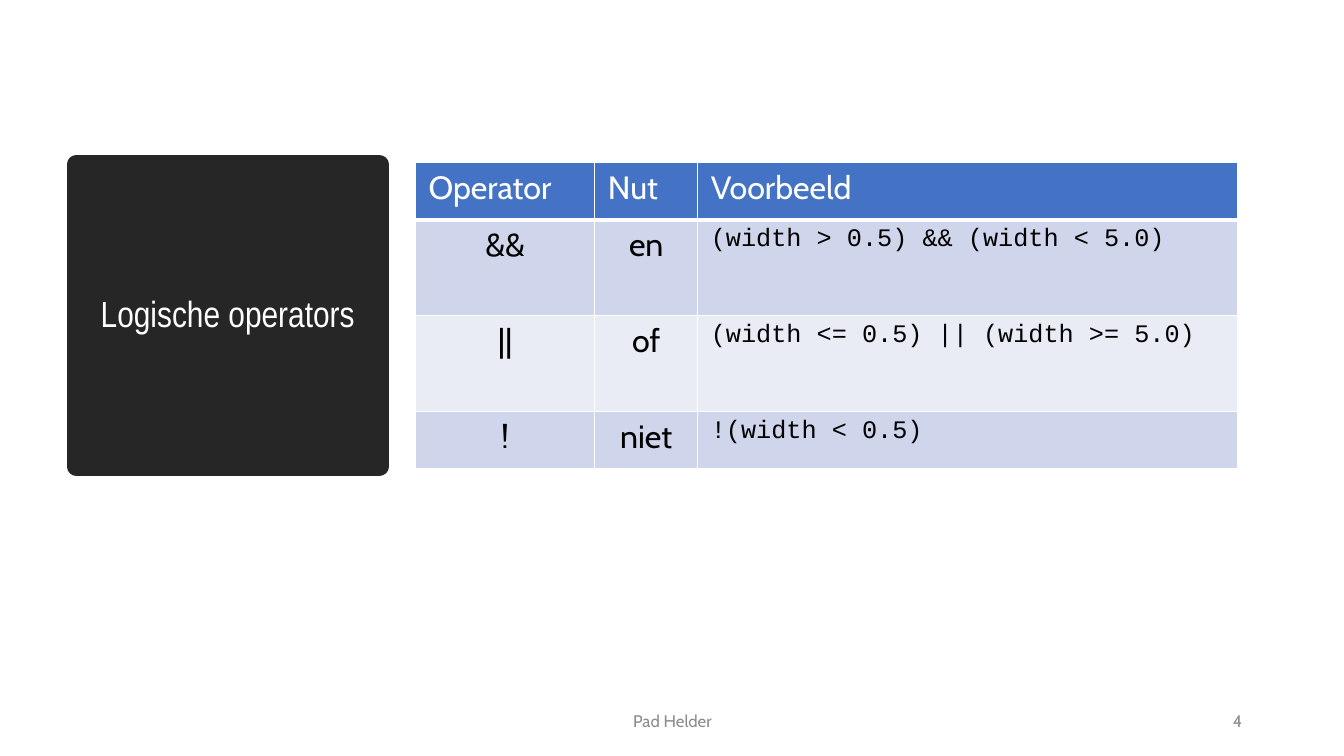
from dataclasses import dataclass

from lxml import etree
from pptx import Presentation
from pptx import util as u
from pptx.dml.color import RGBColor
from pptx.enum import text
from pptx.oxml import ns

PX = 9144  # EMU per px, 100 px to the inch
WHITE, BLACK, DARK, GREY = "FFFFFF", "000000", "262626", "8C8C8C"
HEADER, BAND, PALE = "4472C4", "CFD5EA", "E9EBF5"
LEFT, CENTER, RIGHT = text.PP_ALIGN.LEFT, text.PP_ALIGN.CENTER, text.PP_ALIGN.RIGHT


@dataclass(frozen=True)
class Style:
    font: str
    size: int
    color: str
    align: text.PP_ALIGN


@dataclass(frozen=True)
class Footer:
    words: str
    left: int
    width: int
    align: text.PP_ALIGN


@dataclass(frozen=True)
class Row:
    words: tuple[str, str, str]
    height: int
    fill: str


HEADING = Style("Cabin", 23, WHITE, LEFT)
WORD = Style("Cabin", 23, BLACK, CENTER)
CODE = Style("Courier New", 18, BLACK, LEFT)

COLUMN_WIDTHS = (178, 102, 536)
ROWS = (
    Row(("Operator", "Nut", "Voorbeeld"), 57, HEADER),
    Row(("&&", "en", "(width > 0.5) && (width < 5.0)"), 95, BAND),
    Row(("||", "of", "(width <= 0.5) || (width >= 5.0)"), 95, PALE),
    Row(("!", "niet", "!(width < 0.5)"), 57, BAND),
)
FOOTERS = (
    Footer("Pad Helder", 442, 450, CENTER),
    Footer("4", 942, 300, RIGHT),
)


def px(length: int) -> u.Emu:
    return u.Emu(length * PX)


def rgb(color: str) -> RGBColor:
    return RGBColor.from_string(color)


def paint(target, color: str) -> None:
    target.fill.solid()
    target.fill.fore_color.rgb = rgb(color)


def write(frame, words: str, style: Style) -> None:
    paragraph = frame.paragraphs[0]
    paragraph.alignment = style.align
    run = paragraph.add_run()
    run.text = words
    run.font.name = style.font
    run.font.size = u.Pt(style.size)
    run.font.bold = False
    run.font.color.rgb = rgb(style.color)


def add_borders(cell, bottom: int) -> None:
    properties = cell._tc.get_or_add_tcPr()
    sides = {"lnL": 1, "lnR": 1, "lnT": 1, "lnB": bottom}
    for place, (side, points) in enumerate(sides.items()):
        border = etree.Element(ns.qn(f"a:{side}"), w=str(u.Pt(points)))
        fill = etree.SubElement(border, ns.qn("a:solidFill"))
        etree.SubElement(fill, ns.qn("a:srgbClr"), val=WHITE)
        properties.insert(place, border)


def add_title(slide) -> None:
    title = slide.shapes.title
    title.left, title.top, title.width, title.height = px(76), px(163), px(300), px(300)
    paint(title, DARK)
    title.line.color.rgb = rgb(DARK)
    title.line.width = u.Pt(13.75)
    frame = title.text_frame
    frame.word_wrap = True
    frame.auto_size = text.MSO_AUTO_SIZE.NONE
    frame.vertical_anchor = text.MSO_ANCHOR.MIDDLE
    write(frame, "Logische operators", Style("Arial Narrow", 26, WHITE, CENTER))
    frame.paragraphs[0].line_spacing = 0.9


def add_operators(slide) -> None:
    operators = slide.shapes.add_table(
        len(ROWS), len(COLUMN_WIDTHS), px(412), px(161),
        px(sum(COLUMN_WIDTHS)), px(sum(row.height for row in ROWS)),
    ).table
    for column, width in zip(operators.columns, COLUMN_WIDTHS):
        column.width = px(width)
    for r, row in enumerate(ROWS):
        operators.rows[r].height = px(row.height)
        styles = (HEADING,) * 3 if r == 0 else (WORD, WORD, CODE)
        for c, (words, style) in enumerate(zip(row.words, styles)):
            cell = operators.cell(r, c)
            cell.margin_left = cell.margin_right = px(13)
            cell.margin_top = cell.margin_bottom = px(6)
            paint(cell, row.fill)
            add_borders(cell, bottom=3 if r == 0 else 1)
            write(cell.text_frame, words, style)


def add_footer(slide, footer: Footer) -> None:
    frame = slide.shapes.add_textbox(
        px(footer.left), px(695), px(footer.width), px(40)
    ).text_frame
    frame.word_wrap = True
    frame.vertical_anchor = text.MSO_ANCHOR.MIDDLE
    write(frame, footer.words, Style("Cabin", 12, GREY, footer.align))


def main() -> None:
    deck = Presentation()
    deck.slide_width, deck.slide_height = px(1333), px(750)
    slide = deck.slides.add_slide(deck.slide_layouts[5])  # Title Only
    paint(slide.background, WHITE)

    # Title block and table of operators
    add_title(slide)
    add_operators(slide)

    # Footer line
    for footer in FOOTERS:
        add_footer(slide, footer)

    deck.save("out.pptx")


if __name__ == "__main__":
    main()
